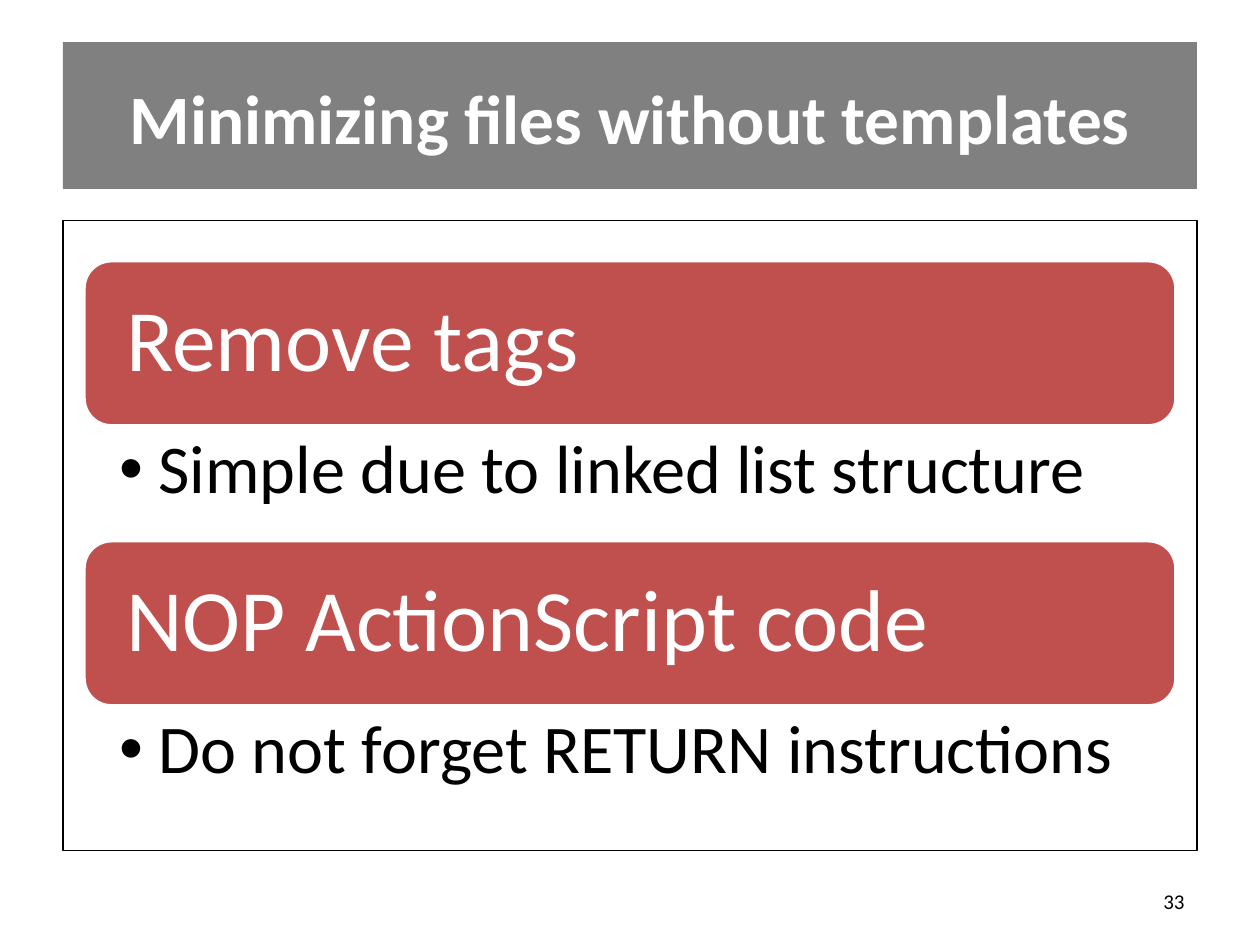
from dataclasses import dataclass

from pptx import Presentation
from pptx.dml.color import RGBColor
from pptx.enum import shapes, text
from pptx.oxml import xmlchemy as x
from pptx.util import Pt


@dataclass(frozen=True)
class Theme:
    font: str = "Calibri"
    white: RGBColor = RGBColor(255, 255, 255)
    black: RGBColor = RGBColor(0, 0, 0)
    gray: RGBColor = RGBColor(128, 128, 128)
    red: RGBColor = RGBColor(192, 80, 77)
    title: float = 39.6
    heading: float = 50
    bullet: float = 39
    number: float = 12


THEME = Theme()
SECTIONS = [
    ("Remove tags", "Simple due to linked list structure"),
    ("NOP ActionScript code", "Do not forget RETURN instructions"),
]


def apply(obj, values):
    for name, value in values.items():
        setattr(obj, name, value)


def place(sp, box):
    apply(sp, dict(zip(("left", "top", "width", "height"), map(Pt, box))))


def write(sp, words, size, color, align, frame=None, para=None, bold=False):
    tf = sp.text_frame
    apply(tf, {"word_wrap": True, "auto_size": text.MSO_AUTO_SIZE.NONE,
               "vertical_anchor": text.MSO_ANCHOR.MIDDLE, **(frame or {})})
    p = tf.paragraphs[0]
    apply(p, {"alignment": align, "space_before": Pt(0), **(para or {})})
    r = p.add_run()
    r.text = words
    apply(r.font, {"name": THEME.font, "size": Pt(size), "bold": bold})
    r.font.color.rgb = color
    return p


def add_box(s, kind, box, fill=None, line=None, weight=1):
    sp = s.shapes.add_shape(kind, *map(Pt, box))
    sp.shadow.inherit = False
    if fill is None:
        sp.fill.background()
    else:
        sp.fill.solid()
        sp.fill.fore_color.rgb = fill
    if line is None:
        sp.line.fill.background()
    else:
        sp.line.color.rgb = line
        sp.line.width = Pt(weight)
    return sp


def add_title(s, box, words):
    left, top, width, height = box
    banner = add_box(s, shapes.MSO_SHAPE.RECTANGLE, box, THEME.gray)
    s.shapes.title.element.addprevious(banner.element)
    place(s.shapes.title, (left, top - 2.4, width, height + 6))
    write(s.shapes.title, words, THEME.title, THEME.white, text.PP_ALIGN.CENTER, bold=True)


def add_section(s, body, box, heading, bullet):
    left, top, width, height = box
    bar_height = height * 0.59
    bar = add_box(s, shapes.MSO_SHAPE.ROUNDED_RECTANGLE, (left, top, width, bar_height),
                  THEME.red, THEME.white, 2)
    write(bar, heading, THEME.heading, THEME.white, text.PP_ALIGN.LEFT,
          {"margin_left": Pt(19.5), "margin_right": Pt(19.5)}, {"line_spacing": 0.9})
    place(body, (left, top + bar_height, width, height - bar_height))
    p = write(body, bullet, THEME.bullet, THEME.black, text.PP_ALIGN.LEFT,
              {"margin_left": Pt(20), "margin_top": Pt(5), "margin_right": Pt(28),
               "margin_bottom": Pt(5), "vertical_anchor": text.MSO_ANCHOR.TOP},
              {"line_spacing": 0.9})
    pPr = p._p.get_or_add_pPr()
    pPr.set("marL", str(Pt(22.5)))
    pPr.set("indent", str(-Pt(22.5)))
    x.OxmlElement("a:buChar")
    bu = x.OxmlElement("a:buChar")
    bu.set("char", "•")
    pPr.append(bu)


def add_content(s, box, sections):
    left, top, width, height = box
    add_box(s, shapes.MSO_SHAPE.RECTANGLE, box, line=THEME.black)
    bodies = [sp for sp in s.placeholders if sp.placeholder_format.idx > 0]
    step = 160
    for i, (body, section) in enumerate(zip(bodies, sections)):
        add_section(s, body, (left + 12, top + 23 + i * step, width - 24, step), *section)


def add_number(s, box, number):
    sp = s.shapes.add_textbox(*map(Pt, box))
    write(sp, number, THEME.number, THEME.black, text.PP_ALIGN.RIGHT)


def main():
    prs = Presentation()
    apply(prs, {"slide_width": Pt(720), "slide_height": Pt(540)})
    s = prs.slides.add_slide(prs.slide_layouts.get_by_name("Two Content"))
    add_title(s, (36, 24, 648, 84), "Minimizing files without templates")
    add_content(s, (36, 126, 648, 360), SECTIONS)
    add_number(s, (516, 500.5, 168, 28.75), "33")
    prs.save("out.pptx")


if __name__ == "__main__":
    main()
